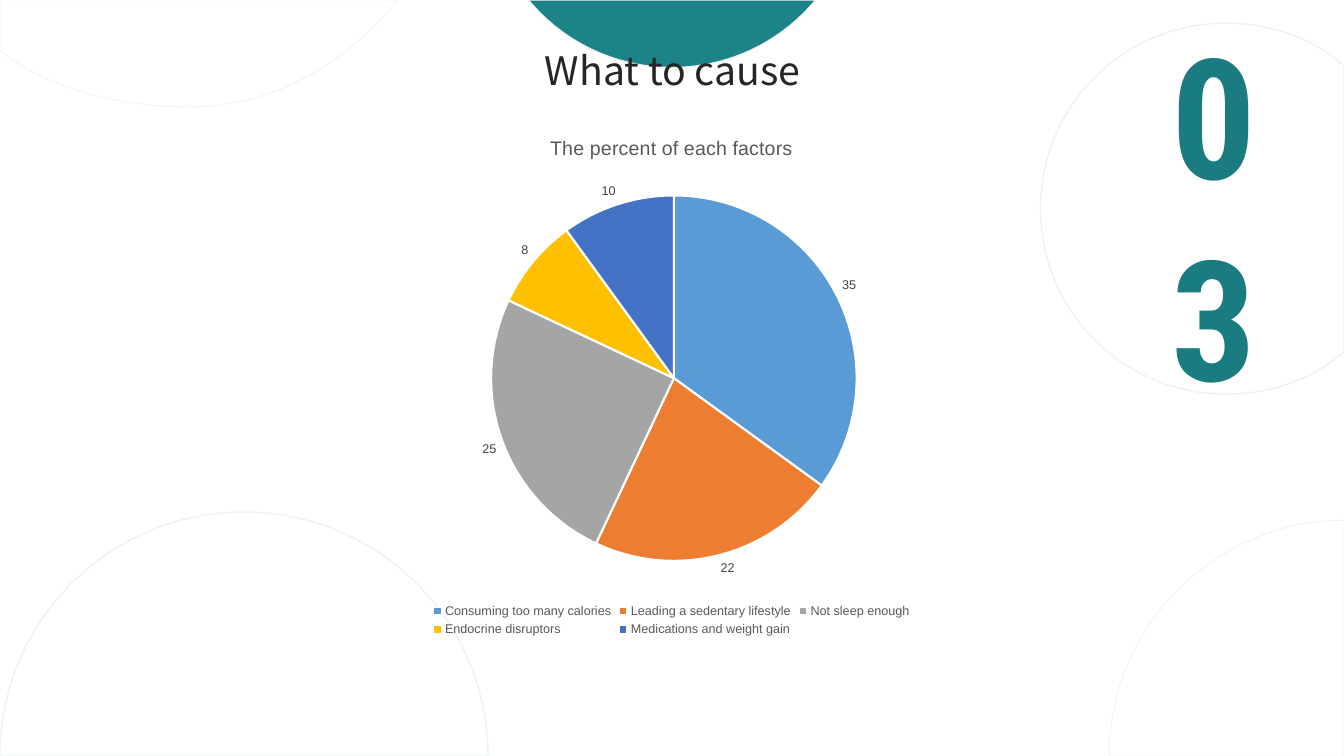
from lxml import etree
from pptx import Presentation
from pptx.chart.data import CategoryChartData
from pptx.dml.color import RGBColor
from pptx.enum.chart import XL_CHART_TYPE, XL_LABEL_POSITION, XL_LEGEND_POSITION
from pptx.enum.text import PP_ALIGN
from pptx.oxml.ns import qn
from pptx.util import Inches, Pt

PIE = XL_CHART_TYPE.PIE
OUTSIDE_END = XL_LABEL_POSITION.OUTSIDE_END
BOTTOM = XL_LEGEND_POSITION.BOTTOM
CENTER = PP_ALIGN.CENTER
JUSTIFY = PP_ALIGN.JUSTIFY

COLORS = {
    "white": "FFFFFF", "outline": "ECF3F4", "teal": "1C8388", "teal_edge": "F2F2F2",
    "title": "262626", "number": "1A7B80", "black": "000000",
    "chart_text": "595959", "label": "404040",
    "blue": "5B9BD5", "orange": "ED7D31", "gray": "A5A5A5",
    "yellow": "FFC000", "dark_blue": "4472C4",
}

BOTTOM_LEFT_ARC = [(0, 7.5), (0, 6.16, 1.08, 5.08, 2.42, 5.08),
                   (3.76, 5.08, 4.84, 6.16, 4.84, 7.5)]
TOP_LEFT_ARC = [(0, 0.5), (0, 0), (3.94, 0), (3.94, 0, 3.19, 1.06, 1.89, 1.06),
                (0.59, 1.06, 0.01, 0.5, 0, 0.5)]
BOTTOM_RIGHT_ARC = [(13.33, 5.16), (13.33, 7.5), (11, 7.5),
                    (11, 6.29, 11.93, 5.29, 13.11, 5.17)]
TOP_CENTER_ARC = [(5.24, 0), (5.58, 0.41, 6.09, 0.67, 6.67, 0.67),
                  (7.24, 0.67, 7.75, 0.41, 8.09, 0)]
RIGHT_CIRCLE = [(12.16, 0.23), (12.54, 0.23, 12.9, 0.34, 13.19, 0.54),
                (13.33, 0.65), (13.33, 3.49), (13.19, 3.6),
                (12.9, 3.8, 12.54, 3.91, 12.16, 3.91),
                (11.14, 3.91, 10.32, 3.09, 10.32, 2.07),
                (10.32, 1.05, 11.14, 0.23, 12.16, 0.23)]

FACTORS = [
    ("Consuming too many calories", 35, "blue"),
    ("Leading a sedentary lifestyle", 22, "orange"),
    ("Not sleep enough", 25, "gray"),
    ("Endocrine disruptors", 8, "yellow"),
    ("Medications and weight gain", 10, "dark_blue"),
]


class SlideBuilder:
    """Draws styled elements on the current slide."""

    def __init__(self, slide, colors):
        self.slide = slide
        self.colors = colors

    def color(self, name):
        return RGBColor.from_string(self.colors[name])

    def style_font(self, font, size, color, name="Arial", bold=False):
        font.size = Pt(size)
        font.name = name
        font.bold = bold
        font.color.rgb = self.color(color)

    def paint(self, target, fill, line, width):
        target.fill.solid()
        target.fill.fore_color.rgb = self.color(fill)
        target.line.color.rgb = self.color(line)
        target.line.width = Pt(width)

    def curve(self, outline, fill="white", line="outline", width=1):
        segments = [tuple(map(Inches, segment)) for segment in outline]
        builder = self.slide.shapes.build_freeform(*segments[0])
        builder.add_line_segments([segment[-2:] for segment in segments[1:]], close=True)
        shape = builder.convert_to_shape()
        sides = list(shape.element.iter(qn("a:lnTo")))
        for side, segment in zip(sides, segments[1:]):
            if len(segment) == 6:
                self.bend(shape, side, segment)
        shape.shadow.inherit = False
        self.paint(shape, fill, line, width)

    def bend(self, shape, side, segment):
        side.getparent().replace(side, bezier := etree.Element(qn("a:cubicBezTo")))
        for x, y in zip(segment[::2], segment[1::2]):
            etree.SubElement(bezier, qn("a:pt"), x=str(x - shape.left), y=str(y - shape.top))

    def text(self, box, content, size, color, font, align, bold=False):
        shape = self.slide.shapes.add_textbox(*map(Inches, box))
        shape.text_frame.word_wrap = True
        shape.text_frame.text = content
        paragraph = shape.text_frame.paragraphs[0]
        paragraph.alignment = align
        self.style_font(paragraph.runs[0].font, size, color, font, bold)

    def pie(self, box, title, factors):
        data = CategoryChartData()
        data.categories = [name for name, _, _ in factors]
        data.add_series("Series 1", [value for _, value, _ in factors])
        chart = self.slide.shapes.add_chart(PIE, *map(Inches, box), data).chart
        self.style_font(chart.font, 10, "black")

        chart.has_title = True
        chart.chart_title.include_in_layout = False
        chart.chart_title.text_frame.text = title
        title_run = chart.chart_title.text_frame.paragraphs[0].runs[0]
        self.style_font(title_run.font, 14, "chart_text")

        chart.has_legend = True
        chart.legend.position = BOTTOM
        chart.legend.include_in_layout = False
        self.style_font(chart.legend.font, 9, "chart_text")

        plot = chart.plots[0]
        plot.vary_by_categories = True
        series = plot.series[0]
        for index, (_, _, color) in enumerate(factors):
            self.paint(series.points[index].format, color, "white", 1.5)
        labels = series.data_labels
        labels.show_value = True
        labels.position = OUTSIDE_END
        self.style_font(labels.font, 9, "label")


def main():
    presentation = Presentation()
    presentation.slide_width = Inches(13.33)
    presentation.slide_height = Inches(7.5)
    slide = presentation.slides.add_slide(presentation.slide_layouts[6])
    builder = SlideBuilder(slide, COLORS)

    builder.curve(BOTTOM_LEFT_ARC)
    builder.curve(TOP_LEFT_ARC, width=0.6)
    builder.curve(BOTTOM_RIGHT_ARC, width=0.6)
    builder.curve(TOP_CENTER_ARC, "teal", "teal_edge")
    builder.curve(RIGHT_CIRCLE)

    builder.text((4.16, 0.41, 5.02, 0.57), "What to cause", 28, "title",
                 "Noto Sans CJK SC", CENTER)
    builder.text((11.52, 0.07, 1.76, 4.14), "03", 120, "number",
                 "Roboto Condensed", JUSTIFY, bold=True)
    builder.pie((3.19, 1.15, 6.94, 5.21), "The percent of each factors", FACTORS)

    presentation.save("out.pptx")


if __name__ == "__main__":
    main()
